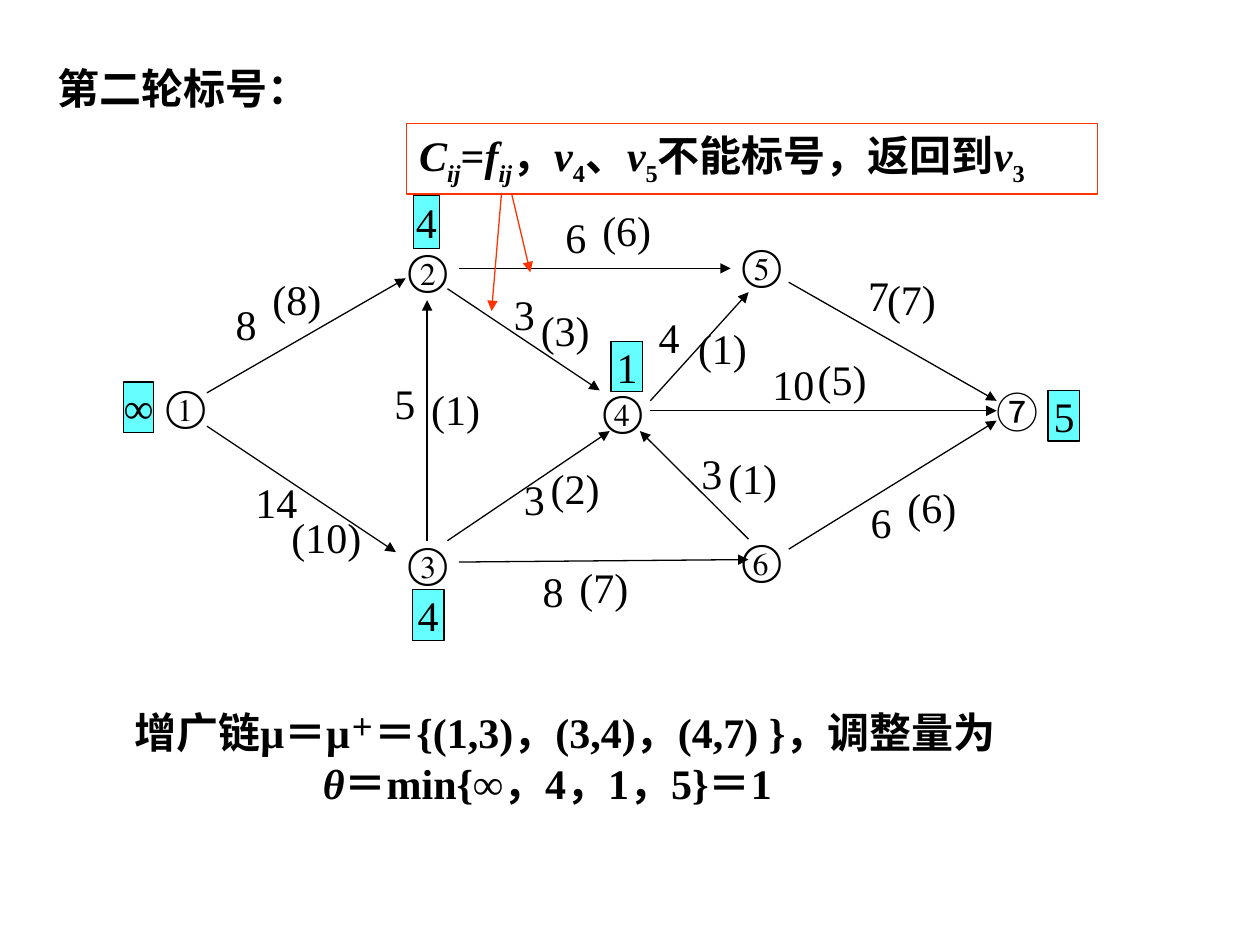
"""Build the second labelling round of a maximum-flow network slide."""
from lxml.etree import SubElement
from pptx import Presentation
from pptx.dml.color import RGBColor
from pptx.enum.shapes import MSO_CONNECTOR, MSO_SHAPE
from pptx.enum.text import MSO_ANCHOR, MSO_AUTO_SIZE, PP_ALIGN
from pptx.oxml.ns import qn
from pptx.util import Cm, Pt

SERIF, SANS = "Times New Roman", "Noto Sans CJK SC"
BLACK, RED, CYAN = "000000", "FF3300", "66FFFF"
LEFT, CENTER = PP_ALIGN.LEFT, PP_ALIGN.CENTER
hex_color = RGBColor.from_string


def write(shape, lines, align=LEFT, margins=(0.25, 0.13), bold=False, name=SERIF,
          asian=SERIF, anchor=MSO_ANCHOR.TOP):
    """Fill a shape with lines, each a list of (text, italic, baseline) spans."""
    frame = shape.text_frame
    frame.word_wrap = False
    frame.auto_size = MSO_AUTO_SIZE.SHAPE_TO_FIT_TEXT
    frame.vertical_anchor = anchor
    frame.margin_left = frame.margin_right = Cm(margins[0])
    frame.margin_top = frame.margin_bottom = Cm(margins[1])
    for index, line in enumerate(lines):
        paragraph = frame.add_paragraph() if index else frame.paragraphs[0]
        paragraph.alignment = align
        font = paragraph.font
        font.size, font.bold, font.name = Pt(24), bold, name
        font.color.rgb = hex_color(BLACK)
        defaults = paragraph._p.pPr.find(qn("a:defRPr"))
        SubElement(defaults, qn("a:ea")).set("typeface", asian)
        for text, italic, baseline in line:
            span = paragraph.add_run()
            span.text = text
            if italic:
                span.font.italic = True
            if baseline:
                span._r.get_or_add_rPr().set("baseline", str(baseline * 1000))


def add_arrow(shapes, start, end, color=BLACK):
    """Draw a thin arrow between two points given in centimetres."""
    arrow = shapes.add_connector(
        MSO_CONNECTOR.STRAIGHT, *[Cm(value) for value in (*start, *end)])
    arrow.line.width = Pt(0.75)
    arrow.line.color.rgb = hex_color(color)
    SubElement(arrow.line._get_or_add_ln(), qn("a:tailEnd")).set("type", "triangle")
    SubElement(arrow._element.spPr, qn("a:effectLst"))


deck = Presentation()
deck.slide_width, deck.slide_height = Cm(25.4), Cm(19.05)
page = deck.slides.add_slide(deck.slide_layouts[5])

title = page.shapes.title
title.left, title.top, title.width, title.height = Cm(0.91), Cm(1.12), Cm(5.59), Cm(1.27)
write(title, [[("第二轮标号：", False, 0)]], bold=True, asian=SANS)

nodes = [
    ("①", 3.1, 7.52), ("②", 7.98, 4.78), ("③", 7.98, 10.69), ("④", 11.91, 7.62),
    ("⑤", 14.71, 4.67), ("⑥", 14.71, 10.62), ("⑦", 19.84, 7.67),
]
for number, left, top in nodes:
    box = page.shapes.add_textbox(Cm(left), Cm(top), Cm(1.35), Cm(1.27))
    last = number == "⑦"
    face = SANS if last else SERIF
    write(box, [[(number, False, 0)]], CENTER if last else LEFT, name=face, asian=face)

edges = [
    ((4.17, 7.92), (8.18, 5.61), "8", (4.5, 5.89), "(8)", (5.44, 5.49)),
    ((4.17, 8.59), (7.98, 11.13), "14", (4.9, 9.47), "(10)", (5.82, 10.29)),
    ((8.61, 10.9), (8.61, 6.05), "5", (7.7, 7.49), "(1)", (8.64, 7.7)),
    ((9.25, 5.41), (14.73, 5.41), "6", (11.15, 4.14), "(6)", (12.09, 4.09)),
    ((9.25, 11.33), (15.09, 11.28), "8", (10.69, 11.28), "(7)", (11.63, 11.28)),
    ((9.02, 5.82), (12.09, 7.87), "3", (10.11, 5.69), "(3)", (10.85, 6.1)),
    ((9.02, 10.9), (12.29, 8.69), "3", (10.31, 9.42), "(2)", (11.05, 9.3)),
    ((15.9, 5.69), (20.09, 8.08), "7", (17.25, 5.31), "(7)", (17.83, 5.49)),
    ((15.9, 11.07), (20.09, 8.48), "6", (17.3, 9.88), "(6)", (18.24, 9.68)),
    ((13.11, 8.08), (15.09, 5.89), "4", (13.03, 6.15), "(1)", (14.02, 6.48)),
    ((13.11, 8.28), (20.09, 8.28), "10", (15.32, 7.09), "(5)", (16.43, 7.09)),
    ((15.09, 10.87), (12.9, 8.69), "3", (13.89, 8.89), "(1)", (14.63, 9.09)),
]
for start, end, capacity, capacity_at, flow, flow_at in edges:
    add_arrow(page.shapes, start, end)
    width = 0.91 if len(capacity) == 1 else 1.35
    box = page.shapes.add_textbox(*map(Cm, capacity_at), Cm(width), Cm(1.27))
    write(box, [[(capacity, False, 0)]])
    width = 1.09 if len(flow) == 3 else 1.52
    box = page.shapes.add_textbox(*map(Cm, flow_at), Cm(width), Cm(1.07))
    write(box, [[(flow, False, 0)]], CENTER, (0.05, 0.03))

labels = [
    ("∞", 2.49, 7.7, 0.61, 1.02, (0, 0)),
    ("4", 8.33, 3.94, 0.53, 1.07, (0.05, 0.03)),
    ("4", 8.31, 11.89, 0.64, 1.02, (0.1, 0)),
    ("1", 12.32, 6.88, 0.64, 1.02, (0.1, 0)),
    ("5", 21.13, 7.87, 0.64, 1.02, (0.1, 0)),
]
for text, left, top, width, height, margins in labels:
    label = page.shapes.add_shape(
        MSO_SHAPE.RECTANGLE, Cm(left), Cm(top), Cm(width), Cm(height))
    label.shadow.inherit = False
    label.fill.solid()
    label.fill.fore_color.rgb = hex_color(CYAN)
    label.line.color.rgb = hex_color(BLACK)
    label.line.width = Pt(0.75)
    write(label, [[(text, False, 0)]], CENTER, margins)

callout = page.shapes.add_group_shape()
note = callout.shapes.add_shape(
    MSO_SHAPE.RECTANGLE, Cm(8.2), Cm(2.49), Cm(13.92), Cm(1.42))
note.shadow.inherit = False
note.fill.background()
note.line.color.rgb = hex_color(RED)
note.line.width = Pt(0.75)
write(note, [[
    ("C", True, 0), ("ij", True, -25), ("=", False, 0), ("f", True, 0),
    ("ij", True, -25), ("，", False, 0), ("v", True, 0), ("4", False, -25),
    ("、", False, 0), ("v", True, 0), ("5", False, -25),
    ("不能标号，返回到", False, 0), ("v", True, 0), ("3", False, -25),
]], bold=True, asian=SANS)
note.text_frame.word_wrap = True
note.text_frame.auto_size = MSO_AUTO_SIZE.NONE
note.text_frame.margin_right = Cm(0)
add_arrow(callout.shapes, (10.11, 3.89), (9.91, 6.27), RED)
add_arrow(callout.shapes, (10.31, 3.89), (10.69, 5.49), RED)

chain = page.shapes.add_textbox(Cm(2.46), Cm(14.12), Cm(19.89), Cm(2.29))
write(chain, [
    [("增广链μ＝μ", False, 0), ("＋", False, 30),
     ("＝{(1,3)，(3,4)，(4,7) }，调整量为", False, 0)],
    [("θ", True, 0), ("＝min{∞，4，1，5}＝1", False, 0)],
], bold=True, asian=SANS, anchor=MSO_ANCHOR.MIDDLE)
chain.text_frame.paragraphs[1]._p.pPr.set("marL", str(Cm(3.8)))

deck.save("out.pptx")
